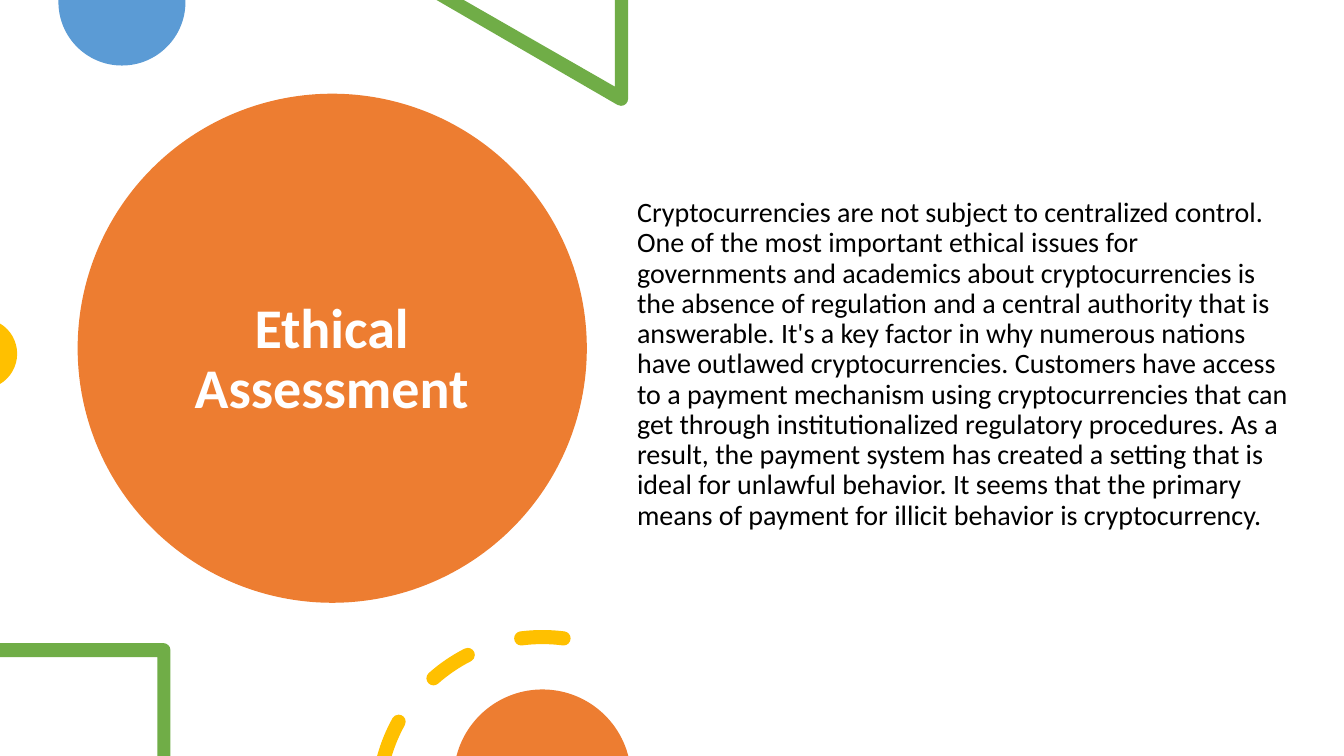
from math import cos, radians, sin, tan

from pptx import Presentation
from pptx.dml.color import RGBColor
from pptx.enum.shapes import MSO_SHAPE
from pptx.enum.text import MSO_ANCHOR, PP_ALIGN
from pptx.oxml.ns import qn
from pptx.util import Inches, Pt

ORANGE, BLUE, GREEN, GOLD = "ED7D31", "5B9BD5", "70AD47", "FFC000"
RING, MID, HALF = (5.38, 7.95), 1.63, 0.07
TITLE = "Ethical Assessment"
BODY = (
    "Cryptocurrencies are not subject to centralized control. One of the most "
    "important ethical issues for governments and academics about "
    "cryptocurrencies is the absence of regulation and a central authority that "
    "is answerable. It's a key factor in why numerous nations have outlawed "
    "cryptocurrencies. Customers have access to a payment mechanism using "
    "cryptocurrencies that can get through institutionalized regulatory "
    "procedures. As a result, the payment system has created a setting that is "
    "ideal for unlawful behavior. It seems that the primary means of payment for "
    "illicit behavior is cryptocurrency."
)


def paint(shape, color):
    """Give a shape a plain fill with no line or shadow."""
    shape.fill.solid()
    shape.fill.fore_color.rgb = RGBColor.from_string(color)
    shape.line.fill.background()
    shape.shadow.inherit = False


def polar(center, radius, angle):
    """Return the point at a clockwise angle in degrees from the right."""
    turn = radians(angle)
    return center[0] + radius * cos(turn), center[1] + radius * sin(turn)


def arc(center, radius, start, end):
    """Return a start point and Bezier triples, split at each quarter turn."""
    low, high = sorted((start, end))
    turns = [q for q in range(-360, 721, 90) if low < q < high]
    stops = sorted([start, end] + turns, reverse=start > end)
    items = [polar(center, radius, start)]
    for a, b in zip(stops, stops[1:]):
        reach = radius * 4 / 3 * tan(radians(b - a) / 4)
        first, last = polar(center, radius, a), polar(center, radius, b)
        items.append((polar(first, reach, a + 90),
                      polar(last, -reach, b + 90), last))
    return items


def cap(angle, start):
    """Return the half circle that rounds one end of a dash."""
    return arc(polar(RING, MID, angle), HALF, start, start + 180)[1:]


def dash(start, end):
    """Return the outline of a dash with two round ends."""
    return (arc(RING, MID + HALF, start, end) + cap(end, end)
            + arc(RING, MID - HALF, end, start)[1:] + cap(start, start + 180))


def is_curve(item):
    """Tell a Bezier triple from a plain point."""
    return len(item) == 3


def bend(shape, items):
    """Turn the line segments of each Bezier triple into one curve."""
    lines = iter(list(shape.element.iter(qn("a:lnTo"))))
    for item in items:
        line = next(lines)
        if is_curve(item):
            curve = line.makeelement(qn("a:cubicBezTo"))
            line.addprevious(curve)
            for part in (line, next(lines), next(lines)):
                curve.append(part[0])
                part.getparent().remove(part)


def add_form(slide, color, *loops):
    """Draw closed outlines of points and Bezier triples as one shape."""
    scale = Inches(1)
    form = slide.shapes.build_freeform(*loops[0][0], scale=1)
    for i, loop in enumerate(loops):
        flat = [p for item in loop for p in (item if is_curve(item) else [item])]
        dots = [(scale * x, scale * y) for x, y in flat]
        if i == 0:
            form = slide.shapes.build_freeform(*dots[0])
        else:
            form.move_to(*dots[0])
        form.add_line_segments(dots[1:], close=True)
    shape = form.convert_to_shape()
    bend(shape, [item for loop in loops for item in loop[1:]])
    paint(shape, color)


def add_disc(slide, left, top, size, color):
    """Draw a filled circle."""
    box = [Inches(v) for v in (left, top, size, size)]
    paint(slide.shapes.add_shape(MSO_SHAPE.OVAL, *box), color)


def add_text(slide, text, box, size, color, bold=False, align=PP_ALIGN.LEFT,
             anchor=MSO_ANCHOR.TOP, before=0, after=0):
    """Add a wrapped text box with one paragraph."""
    frame = slide.shapes.add_textbox(*[Inches(v) for v in box]).text_frame
    frame.word_wrap = True
    frame.vertical_anchor = anchor
    para = frame.paragraphs[0]
    para.alignment, para.line_spacing = align, 0.9
    para.space_before, para.space_after = Pt(before), Pt(after)
    run = para.add_run()
    run.text = text
    font = run.font
    font.name, font.size, font.bold = "Calibri", Pt(size), bold
    font.color.rgb = RGBColor.from_string(color)


def main():
    """Build and save the slide."""
    deck = Presentation()
    deck.slide_width, deck.slide_height = Inches(13.33), Inches(7.5)
    slide = deck.slides.add_slide(deck.slide_layouts[6])

    add_disc(slide, 0.77, 0.93, 5.05, ORANGE)
    add_text(slide, TITLE, (1.52, 1.35, 3.54, 4.45), 40, "FFFFFF", bold=True,
             align=PP_ALIGN.CENTER, anchor=MSO_ANCHOR.MIDDLE, after=6)
    add_form(slide, BLUE,
             [(1.84, 0), (0.58, 0)] + arc((1.21, 0.02), 0.63, 180, 0))
    add_form(slide, GREEN,
             [(6.23, 0), (6.1, 0), (6.1, 0.86), (4.6, 0), (4.33, 0)]
             + arc((6.16, 0.98), HALF, 120, 0))
    add_form(slide, GOLD, arc((-0.18, 3.51), 0.35, -59, 59))
    add_text(slide, BODY, (6.22, 1.92, 6.68, 3.48), 20, "000000", before=10)
    add_form(slide, GREEN,
             [(0, 6.38), (0, 6.52), (1.56, 6.52), (1.56, 7.5), (1.69, 7.5)]
             + arc((1.62, 6.45), HALF, 0, -90))
    tail = (arc(RING, MID + HALF, 195.4, 209) + cap(209, 209)
            + arc(RING, MID - HALF, 209, 196.8)[1:])
    add_form(slide, GOLD, tail, dash(228.5, 243), dash(262.6, 277.4))
    add_form(slide, ORANGE, arc((5.38, 7.72), 0.88, 194.5, 345.5))

    deck.save("out.pptx")


if __name__ == "__main__":
    main()
